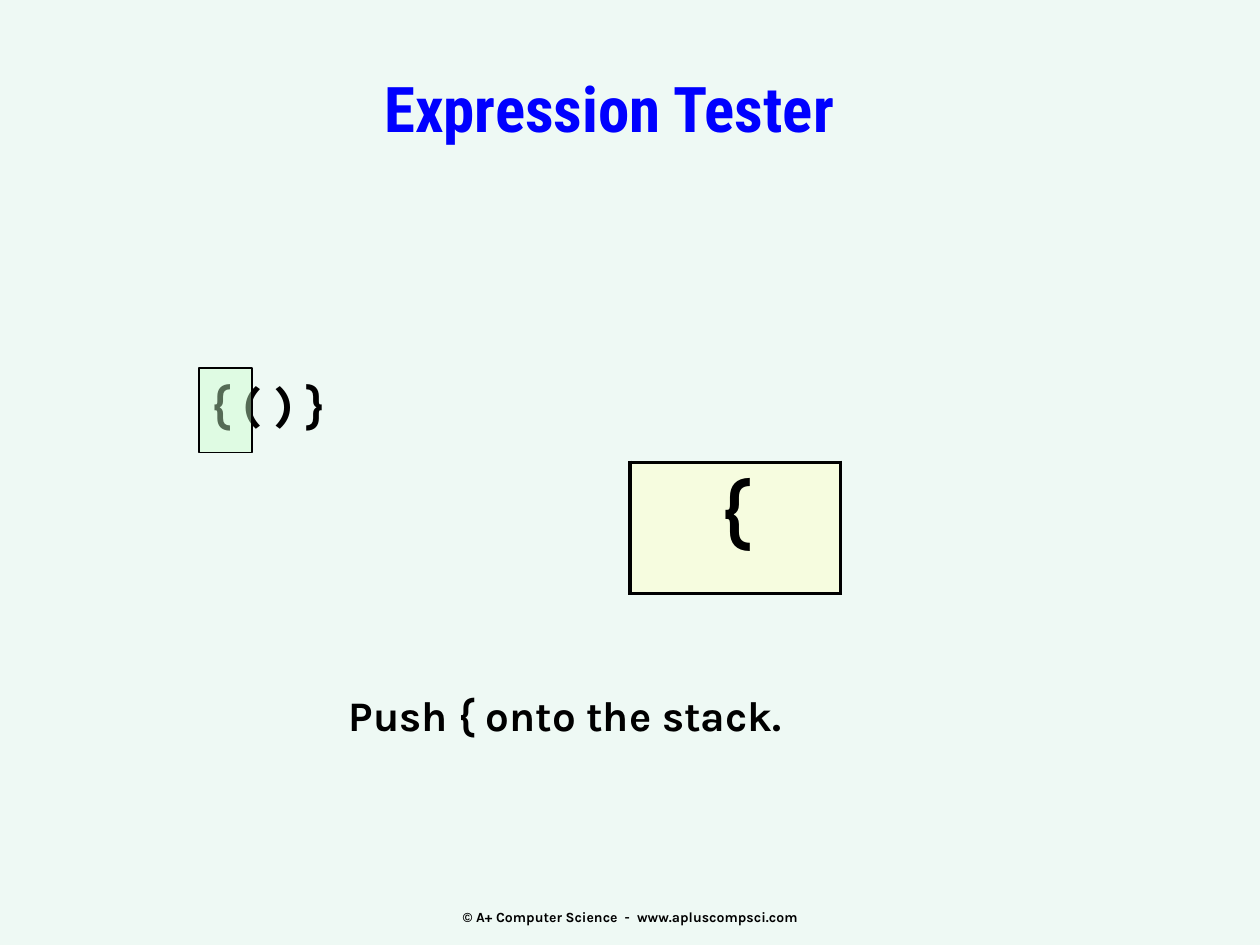
from lxml import etree
from pptx import Presentation
from pptx.dml.color import RGBColor
from pptx.enum.shapes import MSO_SHAPE
from pptx.enum.text import MSO_ANCHOR, MSO_AUTO_SIZE, PP_ALIGN
from pptx.oxml.ns import qn
from pptx.util import Inches, Pt

LEFT, CENTER = PP_ALIGN.LEFT, PP_ALIGN.CENTER
TOP, MIDDLE = MSO_ANCHOR.TOP, MSO_ANCHOR.MIDDLE
FIXED, GROW = MSO_AUTO_SIZE.NONE, MSO_AUTO_SIZE.SHAPE_TO_FIT_TEXT
RECTANGLE = MSO_SHAPE.RECTANGLE
BODY_FONT, TITLE_FONT = "Karla", "Roboto Condensed"
BLACK = "000000"


def set_fill(fill, color, opacity=100):
    fill.solid()
    fill.fore_color.rgb = RGBColor.from_string(color)
    if opacity < 100:
        choice = fill._xPr.find(qn("a:solidFill"))[0]
        etree.SubElement(choice, qn("a:alpha"), val=str(opacity * 1000))


def make_line(tag, color, points):
    """Return a solid line element for a cell border or a text outline."""
    line = etree.Element(qn(tag), w=str(Pt(points)))
    solid = etree.SubElement(line, qn("a:solidFill"))
    etree.SubElement(solid, qn("a:srgbClr"), val=color)
    return line


def add_run(para, text, size, font=BODY_FONT, color=BLACK):
    span = para.add_run()
    span.text = text
    span.font.name = font
    span.font.size = Pt(size)
    span.font.bold = True
    span.font.color.rgb = RGBColor.from_string(color)
    return span


def add_text(page, left, top, width, height, text, size, font=BODY_FONT,
             color=BLACK, align=LEFT, anchor=TOP, wrap=False, fit=FIXED):
    box = page.shapes.add_textbox(Inches(left), Inches(top),
                                  Inches(width), Inches(height))
    frame = box.text_frame
    frame.word_wrap = wrap
    frame.auto_size = fit
    frame.vertical_anchor = anchor
    para = frame.paragraphs[0]
    para.alignment = align
    return add_run(para, text, size, font, color)


def add_title(page, text):
    span = add_text(page, 1.25, 0.5, 7.17, 0.83, text, 36,
                    TITLE_FONT, "0000FF", CENTER)
    span.font._element.insert(0, make_line("a:ln", "CCFFFF", 0.75))


def add_highlight(page, left, top, width, height):
    marker = page.shapes.add_shape(RECTANGLE, Inches(left), Inches(top),
                                   Inches(width), Inches(height))
    marker.shadow.inherit = False
    set_fill(marker.fill, "CCFFCC", 42)
    marker.line.color.rgb = RGBColor.from_string(BLACK)
    marker.line.width = Pt(0.75)


def add_stack(page, left, top, width, row_height, items):
    """Draw the stack as a one-column table, one row for each item."""
    table = page.shapes.add_table(
        len(items), 1, Inches(left), Inches(top),
        Inches(width), Inches(row_height * len(items))).table
    table.first_row = table.horz_banding = False
    for row, item in enumerate(items):
        cell = table.cell(row, 0)
        para = cell.text_frame.paragraphs[0]
        para.alignment = CENTER
        add_run(para, item, 44)
        set_fill(cell.fill, "FFFFCC", 50)
        properties = cell._tc.get_or_add_tcPr()
        for place, side in enumerate("LRTB"):
            properties.insert(place, make_line(f"a:ln{side}", BLACK, 2.25))


def main():
    deck = Presentation()
    deck.slide_width, deck.slide_height = Inches(10), Inches(7.5)
    page = deck.slides.add_slide(deck.slide_layouts[6])
    set_fill(page.background.fill, "EEF9F4")

    add_text(page, 3.42, 7.14, 3.17, 0.28,
             "© A+ Computer Science  -  www.apluscompsci.com", 8,
             align=CENTER, anchor=MIDDLE)
    add_text(page, 1.58, 2.92, 1.39, 1.03, "{ ( ) }", 28, fit=GROW)
    add_text(page, 2.67, 5.42, 4.08, 0.5, "Push { onto the stack.", 24,
             wrap=True, fit=GROW)
    add_title(page, "Expression Tester")
    add_highlight(page, 1.58, 2.92, 0.42, 0.67)
    add_stack(page, 5, 3.67, 1.67, 1.04, ["{"])

    deck.save("out.pptx")


if __name__ == "__main__":
    main()
